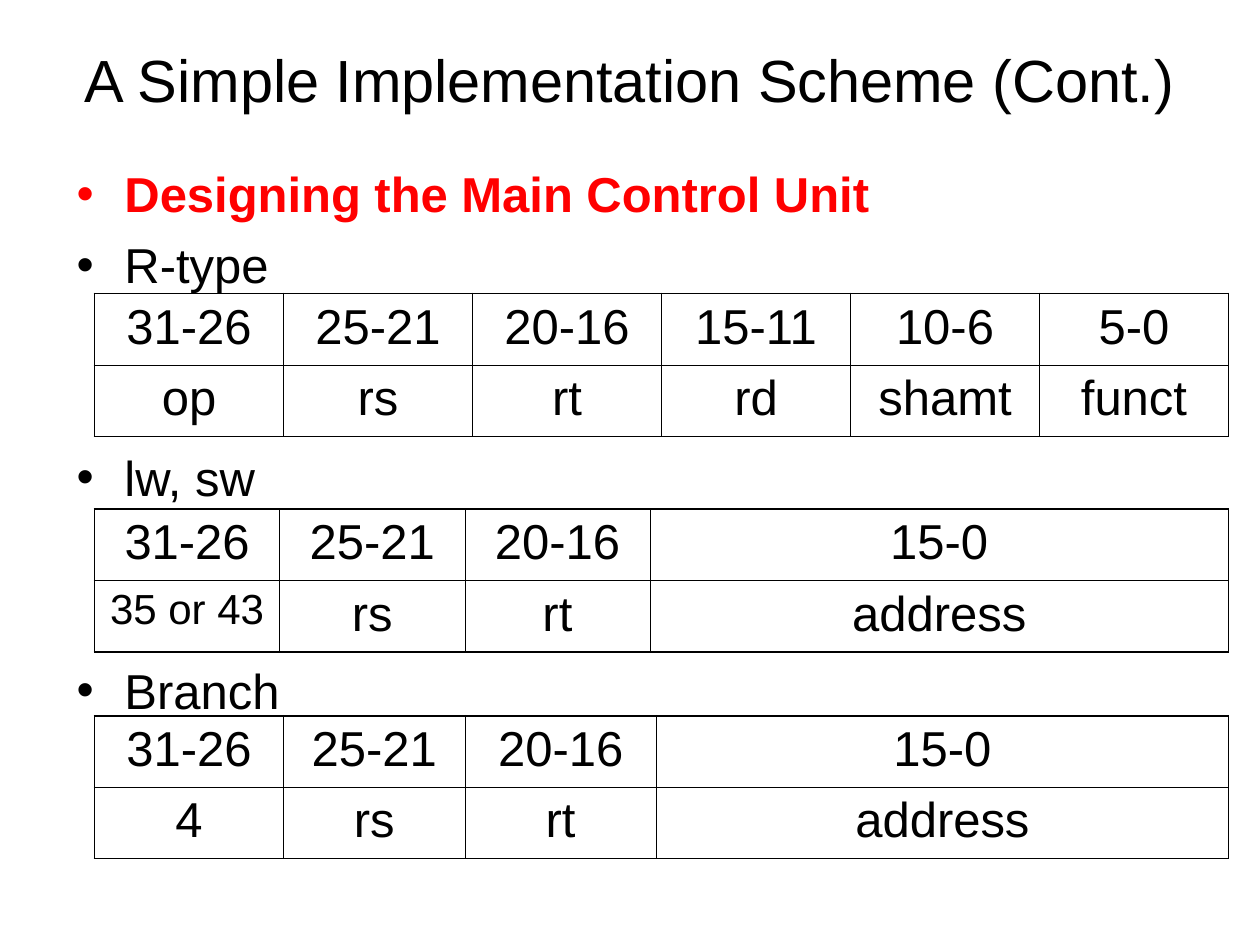
from lxml.etree import SubElement
from pptx import Presentation
from pptx.dml.color import RGBColor
from pptx.enum.text import MSO_ANCHOR, PP_ALIGN
from pptx.oxml.ns import qn
from pptx.util import Inches, Pt

BLACK = RGBColor(0, 0, 0)
RED = RGBColor(255, 0, 0)
THIN, THICK = 0.45, 1.08

TITLE = "A Simple Implementation Scheme (Cont.)"
ITEMS = [
    ("Designing the Main Control Unit", RED, True, 0),
    ("R-type", BLACK, False, 7),
    ("lw, sw", BLACK, False, 88),
    ("Branch", BLACK, False, 88),
]
SHORT = ["31-26", "25-21", "20-16", "15-0"]
FORMATS = [
    (2.33, [1.5] * 6, [["31-26", "25-21", "20-16", "15-11", "10-6", "5-0"],
                       ["op", "rs", "rt", "rd", "shamt", "funct"]]),
    (4.04, [1.47, 1.47, 1.47, 4.59], [SHORT, ["35 or 43", "rs", "rt", "address"]]),
    (5.68, [1.5, 1.44, 1.52, 4.54], [SHORT, ["4", "rs", "rt", "address"]]),
]
SMALL = {"35 or 43": 24}


def style(item, values):
    """Set each named value on the item."""
    for name, value in values.items():
        setattr(item, name, value)


def write(para, text, size, color=BLACK, bold=False):
    """Put one styled run of text into a paragraph."""
    run = para.add_run()
    run.text = text
    style(run.font, {"name": "Arial", "size": Pt(size), "bold": bold})
    run.font.color.rgb = color


def add_frame(slide, box):
    """Add a wrapping text box and return its frame."""
    frame = slide.shapes.add_textbox(*map(Inches, box)).text_frame
    frame.word_wrap = True
    return frame


def add_title(slide, box):
    """Place the centred title in the box."""
    frame = add_frame(slide, box)
    frame.vertical_anchor = MSO_ANCHOR.MIDDLE
    para = frame.paragraphs[0]
    para.alignment = PP_ALIGN.CENTER
    write(para, TITLE, 34)


def add_bullet(para, color):
    """Give a paragraph a hanging round bullet."""
    props = para._p.get_or_add_pPr()
    props.set("marL", str(Inches(0.38)))
    props.set("indent", str(-Inches(0.38)))
    tint = SubElement(props, qn("a:buClr"))
    SubElement(tint, qn("a:srgbClr"), val=str(color))
    SubElement(props, qn("a:buFont"), typeface="Arial")
    SubElement(props, qn("a:buChar"), char="•")


def add_list(slide, box):
    """Place the bullets, spaced to leave room for the tables."""
    frame = add_frame(slide, box)
    for i, (text, color, bold, gap) in enumerate(ITEMS):
        para = frame.add_paragraph() if i else frame.paragraphs[0]
        add_bullet(para, color)
        para.space_before = Pt(gap)
        write(para, text, 28, color, bold)


def add_edges(cell, edges):
    """Draw the cell borders, thick where the edge is an outer one."""
    props = cell._tc.get_or_add_tcPr()
    for side, outer in edges.items():
        width = Pt(THICK if outer else THIN)
        line = SubElement(props, qn(f"a:ln{side}"), w=str(width))
        fill = SubElement(line, qn("a:solidFill"))
        SubElement(fill, qn("a:srgbClr"), val=str(BLACK))


def add_format(slide, box, widths, rows):
    """Place one instruction format table in the box."""
    count, last = len(rows), len(widths) - 1
    table = slide.shapes.add_table(count, last + 1, *map(Inches, box)).table
    style(table, {"first_row": False, "horz_banding": False})
    for col, width in zip(table.columns, widths):
        col.width = Inches(width)
    for r, row in enumerate(rows):
        table.rows[r].height = Inches(box[3] / count)
        for c, text in enumerate(row):
            cell = table.cell(r, c)
            add_edges(cell, {"L": c == 0, "R": c == last,
                             "T": r == 0, "B": r == count - 1})
            cell.fill.background()
            para = cell.text_frame.paragraphs[0]
            para.alignment = PP_ALIGN.CENTER
            write(para, text, SMALL.get(text, 28))


def main():
    """Build the slide and save it."""
    deck = Presentation()
    style(deck, {"slide_width": Inches(10), "slide_height": Inches(7.5)})
    slide = deck.slides.add_slide(deck.slide_layouts[6])
    add_title(slide, (0.5, 0, 9, 1.25))
    add_list(slide, (0.51, 1.25, 9, 4.95))
    for top, widths, rows in FORMATS:
        add_format(slide, (0.75, top, 9, 1.13), widths, rows)
    deck.save("out.pptx")


if __name__ == "__main__":
    main()
